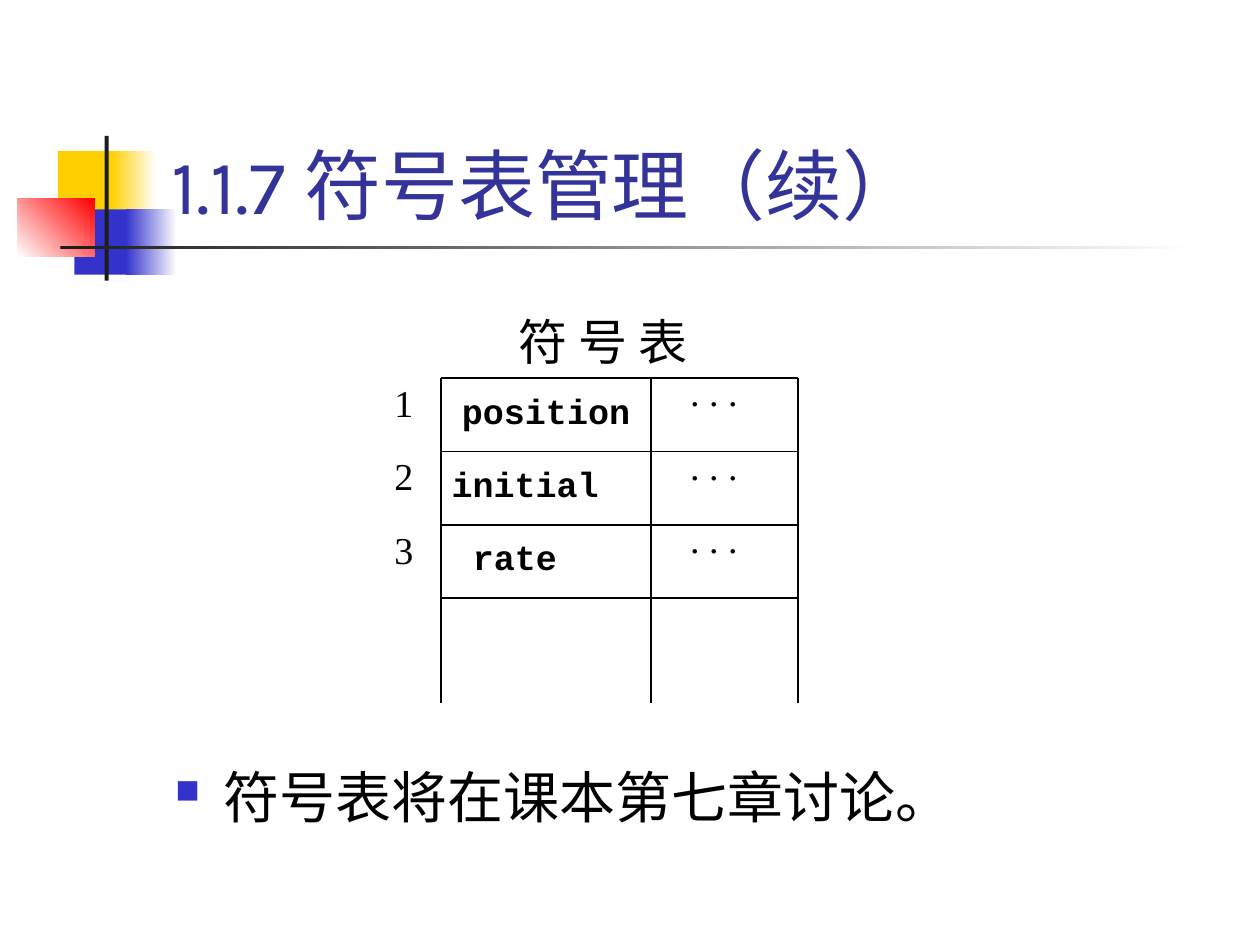
from lxml import etree
from pptx import Presentation
from pptx.dml.color import RGBColor
from pptx.enum.shapes import MSO_CONNECTOR, MSO_SHAPE
from pptx.enum.text import MSO_ANCHOR, PP_ALIGN
from pptx.oxml.ns import qn
from pptx.util import Cm, Pt

RECTANGLE, STRAIGHT = MSO_SHAPE.RECTANGLE, MSO_CONNECTOR.STRAIGHT
TOP, BOTTOM = MSO_ANCHOR.TOP, MSO_ANCHOR.BOTTOM
LEFT, CENTER = PP_ALIGN.LEFT, PP_ALIGN.CENTER
CJK_FONT = "Noto Sans CJK SC"

# Content
TITLE = "1.1.7 符号表管理（续）"
CAPTION = "符 号 表"
NOTE = "符号表将在课本第七章讨论。"
DOTS = ". . ."
# number, name, left edge of the name box in cm
ENTRIES = [("1", "position", 8.89), ("2", "initial", 8.47), ("3", "rate", 8.26)]

# Decoration: left, top, width, height in cm, colours, gradient angle
ORNAMENTS = [
    (1.17, 3.05, 1.22, 1.32, ["FFCF01"], 0),
    (2.24, 3.05, 0.91, 1.32, ["FFCF01", "FFFFFF"], 0),
    (1.5, 4.22, 1.17, 1.32, ["3333CC"], 0),
    (2.54, 4.22, 1.02, 1.32, ["3333CC", "FFFFFF"], 0),
    (0.36, 4.01, 1.55, 1.17, ["FFFFFF", "FF0000"], 45),
    (2.11, 2.74, 0.08, 2.92, ["1C1C1C"], 0),
    (1.22, 4.95, 22.86, 0.08, ["1C1C1C", "FFFFFF"], 0),
]

# Symbol table grid in cm
COLUMNS = [8.89, 13.12, 16.09]
GRID_TOP, GRID_BOTTOM, ROW_HEIGHT = 7.62, 14.18, 1.48

# Text styles: font, size, colour, bold, line spacing
NAME_STYLE = ("Courier New", 20, "000000", True, 1.0)
MARK_STYLE = ("Times New Roman", 21.7, "000000", False, 0.8)


def color(value):
    return RGBColor.from_string(value)


def add_ornament(page, left, top, width, height, colors, angle):
    shape = page.shapes.add_shape(RECTANGLE, Cm(left), Cm(top), Cm(width), Cm(height))
    shape.shadow.inherit = False
    shape.line.fill.background()
    if len(colors) == 1:
        shape.fill.solid()
        shape.fill.fore_color.rgb = color(colors[0])
        return
    shape.fill.gradient()
    shape.fill.gradient_angle = angle
    for stop, value, position in zip(shape.fill.gradient_stops, colors, (0, 1)):
        stop.color.rgb = color(value)
        stop.position = position


def add_rule(page, x1, y1, x2, y2):
    line = page.shapes.add_connector(STRAIGHT, Cm(x1), Cm(y1), Cm(x2), Cm(y2))
    line.line.color.rgb = color("000000")
    line.line.width = Pt(1)
    etree.SubElement(line.element.spPr, qn("a:effectLst"))


def add_bullet(para):
    properties = para._p.get_or_add_pPr()
    properties.set("marL", str(Cm(0.97)))
    properties.set("indent", str(-Cm(0.97)))
    bullet_color = etree.SubElement(properties, qn("a:buClr"))
    etree.SubElement(bullet_color, qn("a:srgbClr"), val="3333CC")
    etree.SubElement(properties, qn("a:buSzPct"), val="60000")
    etree.SubElement(properties, qn("a:buChar"), char="■")


def add_text(page, text, left, top, width, height, style,
             align=CENTER, anchor=TOP, bullet=False):
    font, size, ink, bold, spacing = style
    box = page.shapes.add_textbox(Cm(left), Cm(top), Cm(width), Cm(height))
    frame = box.text_frame
    frame.word_wrap = True
    frame.vertical_anchor = anchor
    frame.text = text
    para = frame.paragraphs[0]
    para.alignment = align
    para.line_spacing = spacing
    if bullet:
        add_bullet(para)
    for span in para.runs:
        span.font.name = font
        span.font.size = Pt(size)
        span.font.bold = bold
        span.font.color.rgb = color(ink)
        etree.SubElement(span.font._element, qn("a:ea"), typeface=CJK_FONT)


def main():
    deck = Presentation()
    deck.slide_width, deck.slide_height = Cm(25.4), Cm(19.05)
    page = deck.slides.add_slide(deck.slide_layouts[6])

    for ornament in ORNAMENTS:
        add_ornament(page, *ornament)

    # Title, caption and closing note
    add_text(page, TITLE, 3.2, 0.7, 21.64, 4.06,
             ("Karla", 44, "333399", False, 1.0), LEFT, BOTTOM)
    add_text(page, CAPTION, 9.4, 6.15, 5.51, 1.7,
             (CJK_FONT, 28, "000000", False, 1.0))
    add_text(page, NOTE, 3.28, 15.24, 21.59, 1.8,
             ("Karla", 32, "000000", False, 1.0), LEFT, bullet=True)

    # Grid, open at the bottom
    for row in range(len(ENTRIES) + 1):
        y = GRID_TOP + row * ROW_HEIGHT
        add_rule(page, COLUMNS[0], y, COLUMNS[-1], y)
    for x in COLUMNS:
        add_rule(page, x, GRID_TOP, x, GRID_BOTTOM)

    # Entries
    for row, (number, name, name_left) in enumerate(ENTRIES):
        y = GRID_TOP + row * ROW_HEIGHT
        add_text(page, number, 7.19, y + 0.08, 1.9, 1.27, MARK_STYLE)
        add_text(page, name, name_left, y + 0.1, 4.24, 1.27, NAME_STYLE)
        add_text(page, DOTS, 12.7, y - 0.13, 3.38, 1.27, MARK_STYLE)

    deck.save("out.pptx")


if __name__ == "__main__":
    main()
